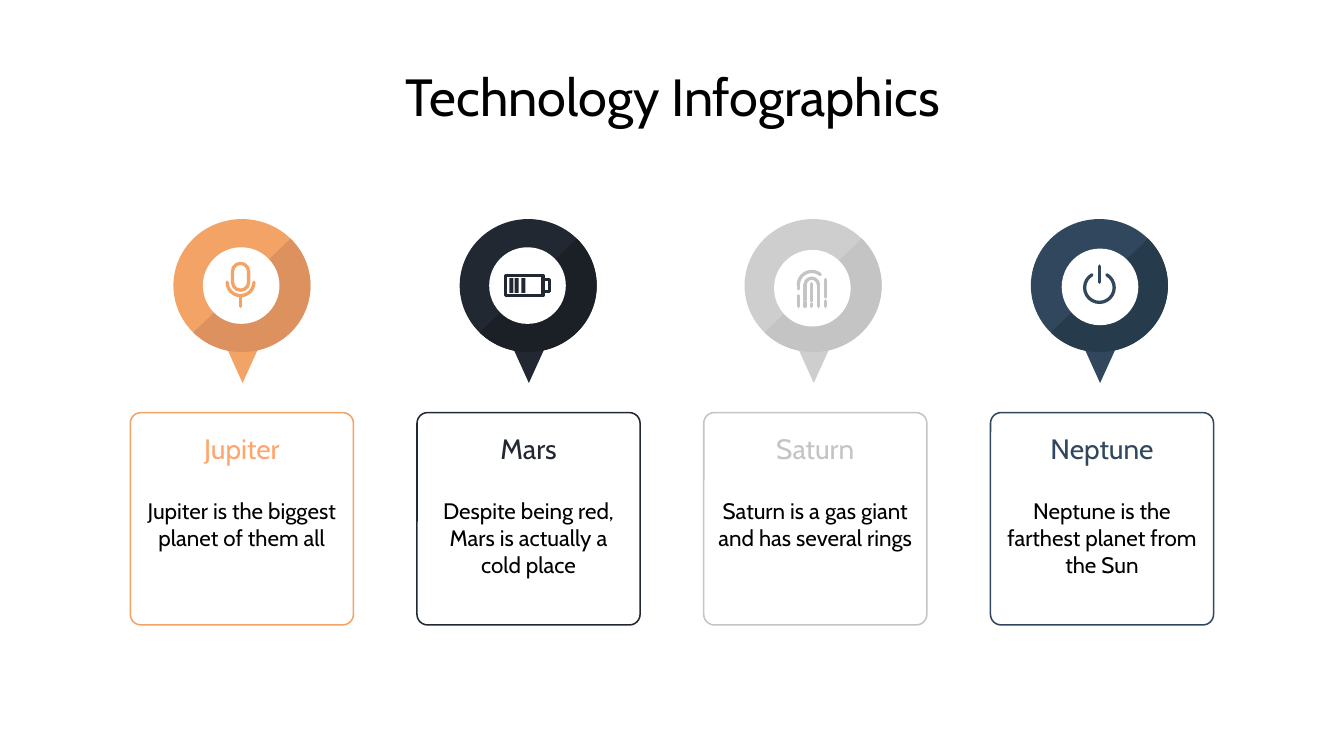
"""Build the Technology Infographics slide: four planet pins above text cards."""
from pptx import Presentation
from pptx.dml.color import RGBColor
from pptx.enum.shapes import MSO_CONNECTOR, MSO_SHAPE
from pptx.enum.text import MSO_ANCHOR, MSO_AUTO_SIZE, PP_ALIGN
from pptx.oxml.ns import qn
from pptx.util import Inches, Pt
from lxml.etree import SubElement

COLORS = {
    "black": "000000", "white": "FFFFFF",
    "orange": "F2A365", "rust": "DD915E", "peach": "FFA66F",
    "ink": "222831", "coal": "1B1F26",
    "silver": "CECECE", "gray": "C4C4C4",
    "navy": "30475E", "deep": "263C4C",
}
STROKE = 1.75

deck = Presentation()
deck.slide_width, deck.slide_height = Inches(10), Inches(10 * 9 / 16)
slide = deck.slides.add_slide(deck.slide_layouts[5])
shapes = slide.shapes


def form(kind, x, y, w, h, fill=None, line=None, width=STROKE):
    shape = shapes.add_shape(kind, Inches(x), Inches(y), Inches(w), Inches(h))
    shape.shadow.inherit = False
    if fill:
        shape.fill.solid()
        shape.fill.fore_color.rgb = RGBColor.from_string(COLORS[fill])
    else:
        shape.fill.background()
    if line:
        shape.line.color.rgb = RGBColor.from_string(COLORS[line])
        shape.line.width = Pt(width)
    else:
        shape.line.fill.background()
    return shape


def write(box, x, y, w, h, text, size, color, anchor):
    box.left, box.top, box.width, box.height = map(Inches, (x, y, w, h))
    frame = box.text_frame
    frame.text = text
    frame.word_wrap = True
    frame.auto_size = MSO_AUTO_SIZE.NONE
    frame.vertical_anchor = anchor
    frame.margin_left = frame.margin_right = Inches(0.1)
    frame.margin_top = frame.margin_bottom = Inches(0.1)
    para = frame.paragraphs[0]
    para.alignment = PP_ALIGN.CENTER
    font = para.runs[0].font
    font.name, font.size = "Cabin", Pt(size)
    font.color.rgb = RGBColor.from_string(COLORS[color])


write(shapes.title, 0.78, 0.45, 8.45, 0.53, "Technology Infographics", 28,
      "black", MSO_ANCHOR.MIDDLE)

planets = [
    ("Jupiter", "Jupiter is the biggest planet of them all",
     "orange", "rust", "orange", "peach", 1.8, 1.79, 2.12),
    ("Mars", "Despite being red, Mars is actually a cold place",
     "ink", "coal", "ink", "ink", 3.93, 3.92, 2.12),
    ("Saturn", "Saturn is a gas giant and has several rings",
     "silver", "gray", "gray", "gray", 6.05, 6.04, 2.14),
    ("Neptune", "Neptune is the farthest planet from the Sun",
     "navy", "deep", "navy", "navy", 8.18, 8.18, 2.13),
]
for i, (name, note, main, shade, edge, head, mid, hub, level) in enumerate(planets):
    left = 0.97 + i * 6.4 / 3
    card = form(MSO_SHAPE.ROUNDED_RECTANGLE, left, 3.07, 1.66, 1.58, None, edge, 0.81)
    card.adjustments[0] = 0.05
    form(MSO_SHAPE.FLOWCHART_MERGE, mid - 0.14, 2.53, 0.29, 0.32, main)
    form(MSO_SHAPE.OVAL, mid - 0.51, 1.63, 1.02, 0.99, main)
    half = form(MSO_SHAPE.CHORD, mid - 0.51, 1.63, 1.02, 0.99, shade)
    half.adjustments[0], half.adjustments[1] = 316 * 0.6, 136 * 0.6
    form(MSO_SHAPE.OVAL, hub - 0.28, level - 0.28, 0.57, 0.57, "white")
    for top, tall, text, size, color, anchor in (
        (3.07, 0.53, name, 15, head, MSO_ANCHOR.MIDDLE),
        (3.6, 1.05, note, 12, "black", MSO_ANCHOR.TOP),
    ):
        box = shapes.add_textbox(0, 0, 0, 0)
        write(box, left, top, 1.66, tall, text, size, color, anchor)

pill = form(MSO_SHAPE.ROUNDED_RECTANGLE, 1.73, 1.96, 0.12, 0.2, None, "orange")
pill.adjustments[0] = 0.5
form(MSO_SHAPE.RECTANGLE, 3.76, 2.05, 0.28, 0.15, None, "ink")
form(MSO_SHAPE.RECTANGLE, 4.04, 2.08, 0.05, 0.09, None, "ink")
for x in (3.79, 3.83, 3.88):
    form(MSO_SHAPE.RECTANGLE, x, 2.07, 0.03, 0.11, "ink")

strokes = []
arcs = [
    (1.79, 2.1, 0.1, 0, 180, "orange"),
    (6.04, 2.12, 0.1, 180, 310, "gray"),
    (6.04, 2.12, 0.05, 180, 360, "gray"),
    (8.18, 2.14, 0.11, 300, 240, "navy"),
]
for x, y, r, start, end, color in arcs:
    arc = form(MSO_SHAPE.ARC, x - r, y - r, 2 * r, 2 * r, None, color)
    arc.adjustments[0], arc.adjustments[1] = start * 0.6, end * 0.6
    strokes.append(arc)

rods = [
    (1.79, 2.21, 2.28, "orange"),
    (5.94, 2.12, 2.15, "gray"), (5.94, 2.2, 2.28, "gray"),
    (5.99, 2.12, 2.23, "gray"), (5.99, 2.25, 2.28, "gray"),
    (6.04, 2.11, 2.24, "gray"), (6.04, 2.26, 2.28, "gray"),
    (6.09, 2.12, 2.28, "gray"),
    (6.14, 2.08, 2.21, "gray"), (6.14, 2.24, 2.28, "gray"),
    (8.18, 1.98, 2.1, "navy"),
]
for x, top, base, color in rods:
    rod = shapes.add_connector(MSO_CONNECTOR.STRAIGHT, Inches(x), Inches(top),
                               Inches(x), Inches(base))
    rod.line.color.rgb = RGBColor.from_string(COLORS[color])
    rod.line.width = Pt(STROKE)
    SubElement(rod._element.spPr, qn("a:effectLst"))
    strokes.append(rod)

for stroke in strokes:
    stroke._element.spPr.find(qn("a:ln")).set("cap", "rnd")

deck.save("out.pptx")
